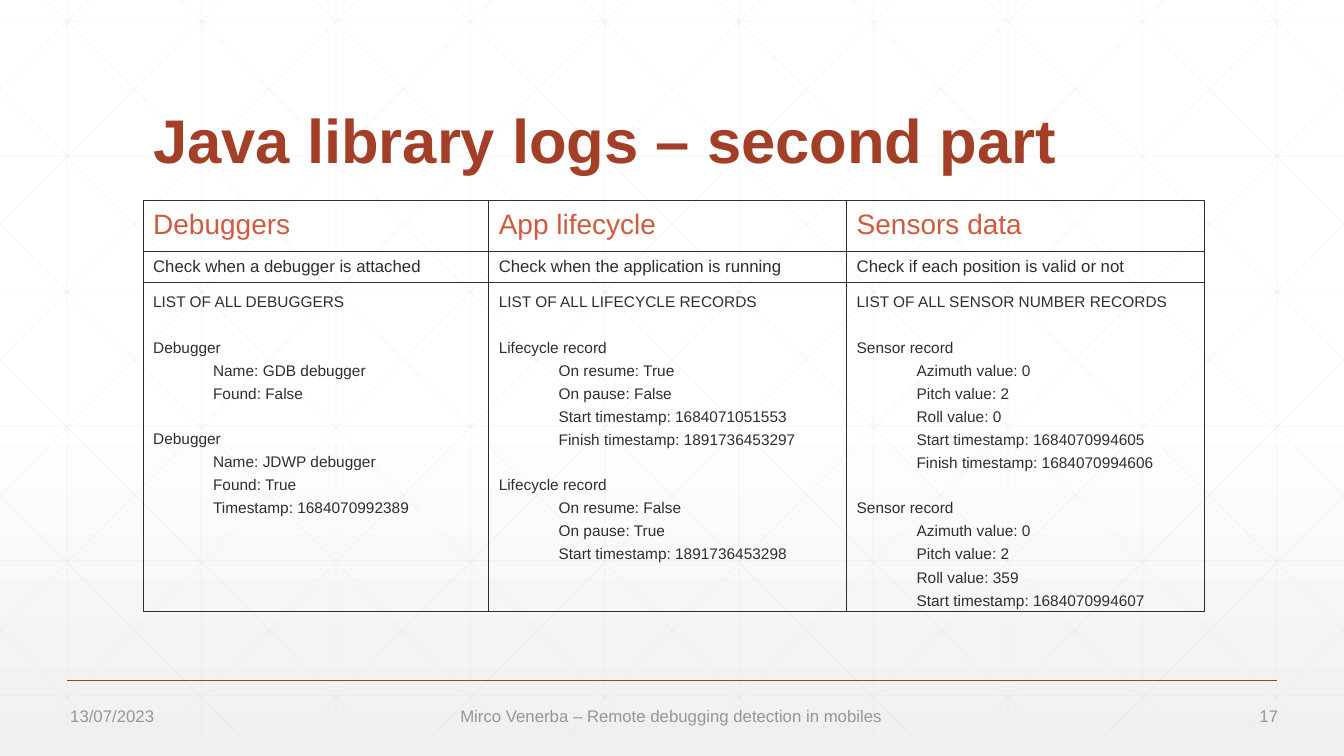
"""Build the slide on Java library logs: three bordered columns over a faint lattice."""
from lxml import etree
from pptx import Presentation
from pptx.dml.color import RGBColor
from pptx.enum.shapes import MSO_CONNECTOR, MSO_SHAPE
from pptx.enum.text import MSO_ANCHOR, PP_ALIGN
from pptx.oxml.ns import qn
from pptx.util import Cm, Pt

STRAIGHT = MSO_CONNECTOR.STRAIGHT
RECTANGLE = MSO_SHAPE.RECTANGLE
TOP, MIDDLE, BOTTOM = MSO_ANCHOR.TOP, MSO_ANCHOR.MIDDLE, MSO_ANCHOR.BOTTOM
LEFT, RIGHT = PP_ALIGN.LEFT, PP_ALIGN.RIGHT

WIDTH, HEIGHT = 33.87, 19.05
LATTICE_TOP, LATTICE_BOTTOM = -0.53, 18.52
PITCH = WIDTH / 10
DIAGONAL_START, DIAGONAL_RUN = 0.63, 18.93

TABLE_LEFT, TABLE_TOP = 3.61, 5.05
COLUMN_WIDTHS = (8.71, 9.02, 9.02)
TITLE_HEIGHT, CHECK_HEIGHT, LOG_HEIGHT = 1.28, 0.8, 8.28

COLUMNS = [
    ("Debuggers", "Check when a debugger is attached", "LIST OF ALL DEBUGGERS", [
        ("Debugger", ["Name: GDB debugger", "Found: False"]),
        ("Debugger", ["Name: JDWP debugger", "Found: True", "Timestamp: 1684070992389"]),
    ]),
    ("App lifecycle", "Check when the application is running", "LIST OF ALL LIFECYCLE RECORDS", [
        ("Lifecycle record", ["On resume: True", "On pause: False",
                              "Start timestamp: 1684071051553",
                              "Finish timestamp: 1891736453297"]),
        ("Lifecycle record", ["On resume: False", "On pause: True",
                              "Start timestamp: 1891736453298"]),
    ]),
    ("Sensors data", "Check if each position is valid or not", "LIST OF ALL SENSOR NUMBER RECORDS", [
        ("Sensor record", ["Azimuth value: 0", "Pitch value: 2", "Roll value: 0",
                           "Start timestamp: 1684070994605",
                           "Finish timestamp: 1684070994606"]),
        ("Sensor record", ["Azimuth value: 0", "Pitch value: 2", "Roll value: 359",
                           "Start timestamp: 1684070994607"]),
    ]),
]

FOOTERS = [
    ("13/07/2023", 1.52, 4.14, LEFT),
    ("Mirco Venerba – Remote debugging detection in mobiles", 11.35, 11.7, LEFT),
    ("17", 28.07, 4.39, RIGHT),
]


def color(value):
    return RGBColor.from_string(value)


def write(frame, text, size=11, fill="2D2E2D", bold=False, align=LEFT,
          spacing=1.0, before=0, indent=0):
    paragraph = frame.paragraphs[-1]
    if paragraph.runs:
        paragraph = frame.add_paragraph()
    paragraph.alignment = align
    paragraph.line_spacing = spacing
    paragraph.space_before = Pt(before)
    paragraph._p.get_or_add_pPr().set("marL", str(int(Cm(indent))))
    run = paragraph.add_run()
    run.text = text
    run.font.name = "Arial"
    run.font.size = Pt(size)
    run.font.bold = bold
    run.font.color.rgb = color(fill)


class SlideBuilder:
    def __init__(self, slide):
        self.slide = slide
        self.accent = "A43F27"
        self.heading = "D15A3E"
        self.ink = "2D2E2D"
        self.muted = "959795"
        self.lattice_color = "D9D9D9"

    def background(self):
        fill = self.slide.background.fill
        fill.gradient()
        fill.gradient_angle = 270
        stops = zip(fill.gradient_stops, (0.53, 1), ("FFFFFF", "F0F0F0"))
        for stop, position, value in stops:
            stop.position = position
            stop.color.rgb = color(value)

    def line(self, start, end, stroke, width, opacity=100):
        connector = self.slide.shapes.add_connector(
            STRAIGHT, *(Cm(value) for value in (*start, *end)))
        connector.line.color.rgb = color(stroke)
        connector.line.width = Pt(width)
        properties = connector._element.spPr
        if opacity < 100:
            tint = properties.find(".//" + qn("a:srgbClr"))
            etree.SubElement(tint, qn("a:alpha")).set("val", str(opacity * 1000))
        etree.SubElement(properties, qn("a:effectLst"))

    def lattice_line(self, start, end):
        self.line(start, end, self.lattice_color, 0.5, opacity=25)

    def lattice(self):
        for index in range(10):
            x = PITCH * (index + 0.5)
            self.lattice_line((x, LATTICE_TOP), (x, LATTICE_BOTTOM))
        for index in range(6):
            y = 0.53 + 3.4 * index
            self.lattice_line((0, y), (WIDTH, y))
        slope = (LATTICE_BOTTOM - LATTICE_TOP) / DIAGONAL_RUN
        for index in range(-5, 10):
            origin = DIAGONAL_START + PITCH * index
            x1, x2 = max(origin, 0), min(origin + DIAGONAL_RUN, WIDTH)
            y1, y2 = (LATTICE_TOP + (x - origin) * slope for x in (x1, x2))
            self.lattice_line((x1, y1), (x2, y2))
            self.lattice_line((WIDTH - x1, y1), (WIDTH - x2, y2))

    def text_box(self, left, top, width, height, anchor=TOP):
        shape = self.slide.shapes.add_textbox(Cm(left), Cm(top), Cm(width), Cm(height))
        shape.text_frame.word_wrap = True
        shape.text_frame.vertical_anchor = anchor
        return shape.text_frame

    def cell(self, left, top, width, height, anchor=TOP):
        shape = self.slide.shapes.add_shape(
            RECTANGLE, Cm(left), Cm(top), Cm(width), Cm(height))
        shape.shadow.inherit = False
        shape.fill.background()
        shape.line.color.rgb = color(self.ink)
        shape.line.width = Pt(0.75)
        shape.text_frame.word_wrap = True
        shape.text_frame.vertical_anchor = anchor
        return shape.text_frame

    def column(self, left, width, title, check, list_heading, records):
        check_top = TABLE_TOP + TITLE_HEIGHT
        write(self.cell(left, TABLE_TOP, width, TITLE_HEIGHT, MIDDLE),
              title, size=20, fill=self.heading, spacing=0.9)
        write(self.cell(left, check_top, width, CHECK_HEIGHT), check, size=12)
        log = self.cell(left, check_top + CHECK_HEIGHT, width, LOG_HEIGHT)
        write(log, list_heading, spacing=1.25)
        for record, entries in records:
            write(log, record, spacing=1.25, before=15.8)
            for entry in entries:
                write(log, entry, spacing=1.25, indent=1.51)


def main():
    presentation = Presentation()
    presentation.slide_width, presentation.slide_height = Cm(WIDTH), Cm(HEIGHT)
    builder = SlideBuilder(presentation.slides.add_slide(presentation.slide_layouts[6]))
    builder.background()
    builder.lattice()
    builder.line((1.69, 17.15), (32.18, 17.15), builder.accent, 1)
    write(builder.text_box(TABLE_LEFT, 1.4, 26.67, 3.18, BOTTOM),
          "Java library logs – second part", size=44, fill=builder.accent,
          bold=True, spacing=0.9)
    left = TABLE_LEFT
    for width, content in zip(COLUMN_WIDTHS, COLUMNS):
        builder.column(left, width, *content)
        left += width
    for text, footer_left, width, align in FOOTERS:
        write(builder.text_box(footer_left, 17.65, width, 0.77),
              text, size=12, fill=builder.muted, align=align)
    presentation.save("out.pptx")


if __name__ == "__main__":
    main()
